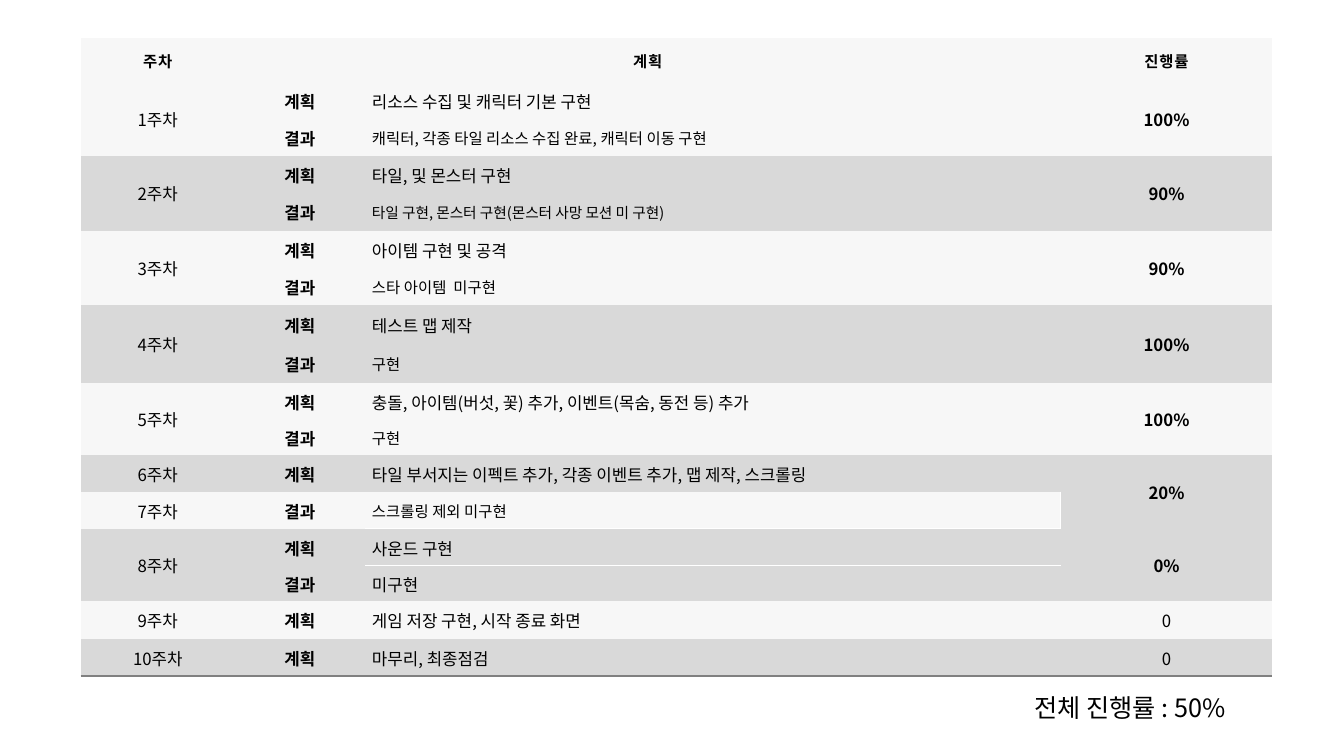
from lxml import etree
from pptx import Presentation
from pptx.dml.color import RGBColor
from pptx.enum.text import MSO_ANCHOR, PP_ALIGN
from pptx.oxml.ns import qn
from pptx.util import Inches, Pt

CENTER, LEFT = PP_ALIGN.CENTER, PP_ALIGN.LEFT
MIDDLE = MSO_ANCHOR.MIDDLE
BLACK = RGBColor(0x00, 0x00, 0x00)
WHITE = RGBColor(0xFF, 0xFF, 0xFF)
GRAY = RGBColor(0x80, 0x80, 0x80)
BANDS = [RGBColor(0xF7, 0xF7, 0xF7), RGBColor(0xD9, 0xD9, 0xD9)]
FONT = "Noto Sans CJK KR"
NO_STYLE = "{2D5ABB26-0587-4C30-8999-92F81FD0307C}"

PLAN, RESULT = "계획", "결과"
HEADINGS = {0: "주차", 1: "계획", 3: "진행률"}
WEEKS = [
    ("1주차", "100%", [(PLAN, "리소스 수집 및 캐릭터 기본 구현", 12),
                     (RESULT, "캐릭터, 각종 타일 리소스 수집 완료, 캐릭터 이동 구현", 11)]),
    ("2주차", "90%", [(PLAN, "타일, 및 몬스터 구현", 12),
                    (RESULT, "타일 구현, 몬스터 구현(몬스터 사망 모션 미 구현)", 10.5)]),
    ("3주차", "90%", [(PLAN, "아이템 구현 및 공격", 12),
                    (RESULT, "스타 아이템  미구현", 11)]),
    ("4주차", "100%", [(PLAN, "테스트 맵 제작", 12), (RESULT, "구현", 11)]),
    ("5주차", "100%", [(PLAN, "충돌, 아이템(버섯, 꽃) 추가, 이벤트(목숨, 동전 등) 추가", 12),
                     (RESULT, "구현", 11)]),
    ("6주차", "20%", [(PLAN, "타일 부서지는 이펙트 추가, 각종 이벤트 추가, 맵 제작, 스크롤링", 12)]),
    ("7주차", None, [(RESULT, "스크롤링 제외 미구현", 11)]),
    ("8주차", "0%", [(PLAN, "사운드 구현", 12), (RESULT, "미구현", 12)]),
    ("9주차", "0", [(PLAN, "게임 저장 구현, 시작 종료 화면", 12)]),
    ("10주차", "0", [(PLAN, "마무리, 최종점검", 12)]),
]
COLUMN_WIDTHS = [1.53, 1.29, 6.9, 2.1]
ROW_HEIGHTS = [0.43, 0.37, 0.37, 0.37, 0.37, 0.37, 0.37, 0.39, 0.38,
               0.36, 0.36, 0.36, 0.37, 0.36, 0.36, 0.37, 0.37]
TOTAL = "전체 진행률 : 50%"


def style_run(run, size, bold=False):
    run.font.name = FONT
    run.font.size = Pt(size)
    run.font.bold = bold
    run.font.color.rgb = BLACK
    etree.SubElement(run.font._element, qn("a:ea"), typeface=FONT)


def write_cell(cell, text, size=12, bold=False, align=CENTER, margin=0.07):
    cell.vertical_anchor = MIDDLE
    cell.margin_left = cell.margin_right = Inches(margin)
    cell.margin_top = cell.margin_bottom = Inches(margin)
    paragraph = cell.text_frame.paragraphs[0]
    paragraph.text = text
    paragraph.alignment = align
    style_run(paragraph.runs[0], size, bold)


def add_border(cell, side, color):
    line = etree.Element(qn("a:ln" + side), w=str(Pt(1)))
    fill = etree.SubElement(line, qn("a:solidFill"))
    etree.SubElement(fill, qn("a:srgbClr"), val=str(color))
    cell._tc.get_or_add_tcPr().insert(0, line)


def fill_row(schedule, row, color):
    for column in range(len(COLUMN_WIDTHS)):
        fill = schedule.cell(row, column).fill
        fill.solid()
        fill.fore_color.rgb = color


def add_schedule(slide):
    schedule = slide.shapes.add_table(
        len(ROW_HEIGHTS), len(COLUMN_WIDTHS), Inches(0.8), Inches(0.38),
        Inches(sum(COLUMN_WIDTHS)), Inches(sum(ROW_HEIGHTS))).table
    schedule.first_row = schedule.horz_banding = False
    schedule._tbl.tblPr.find(qn("a:tableStyleId")).text = NO_STYLE
    for column, width in zip(schedule.columns, COLUMN_WIDTHS):
        column.width = Inches(width)
    for row, height in zip(schedule.rows, ROW_HEIGHTS):
        row.height = Inches(height)

    fill_row(schedule, 0, BANDS[0])
    schedule.cell(0, 1).merge(schedule.cell(0, 2))
    for column, heading in HEADINGS.items():
        write_cell(schedule.cell(0, column), heading, 11, True, margin=0.11)
        schedule.cell(0, column).text_frame.paragraphs[0].runs[0].font._element.set("spc", "60")

    first = 1
    for index, (week, progress, entries) in enumerate(WEEKS):
        last = first + len(entries) - 1
        for row, (kind, text, size) in enumerate(entries, first):
            fill_row(schedule, row, BANDS[index % 2])
            write_cell(schedule.cell(row, 1), kind, bold=True)
            write_cell(schedule.cell(row, 2), text, size, align=LEFT)
        write_cell(schedule.cell(first, 0), week)
        if last > first:
            schedule.cell(first, 0).merge(schedule.cell(last, 0))
            schedule.cell(first, 3).merge(schedule.cell(last, 3))
        if progress is None:
            schedule.cell(first - 1, 3).merge(schedule.cell(first, 3))
            add_border(schedule.cell(first, 2), "B", WHITE)
            add_border(schedule.cell(first, 2), "R", WHITE)
            add_border(schedule.cell(first + 1, 2), "T", WHITE)
        else:
            write_cell(schedule.cell(first, 3), progress, bold="%" in progress)
        first = last + 1

    for column in range(len(COLUMN_WIDTHS)):
        add_border(schedule.cell(len(ROW_HEIGHTS) - 1, column), "B", GRAY)


def add_total(slide):
    total = slide.shapes.add_textbox(Inches(10.16), Inches(6.82), Inches(2.46), Inches(0.4))
    total.text_frame.word_wrap = True
    total.text_frame.text = TOTAL
    style_run(total.text_frame.paragraphs[0].runs[0], 18)


def main():
    deck = Presentation()
    deck.slide_width, deck.slide_height = Inches(13.33), Inches(7.5)
    slide = deck.slides.add_slide(deck.slide_layouts[6])
    add_total(slide)
    add_schedule(slide)
    deck.save("out.pptx")


if __name__ == "__main__":
    main()
